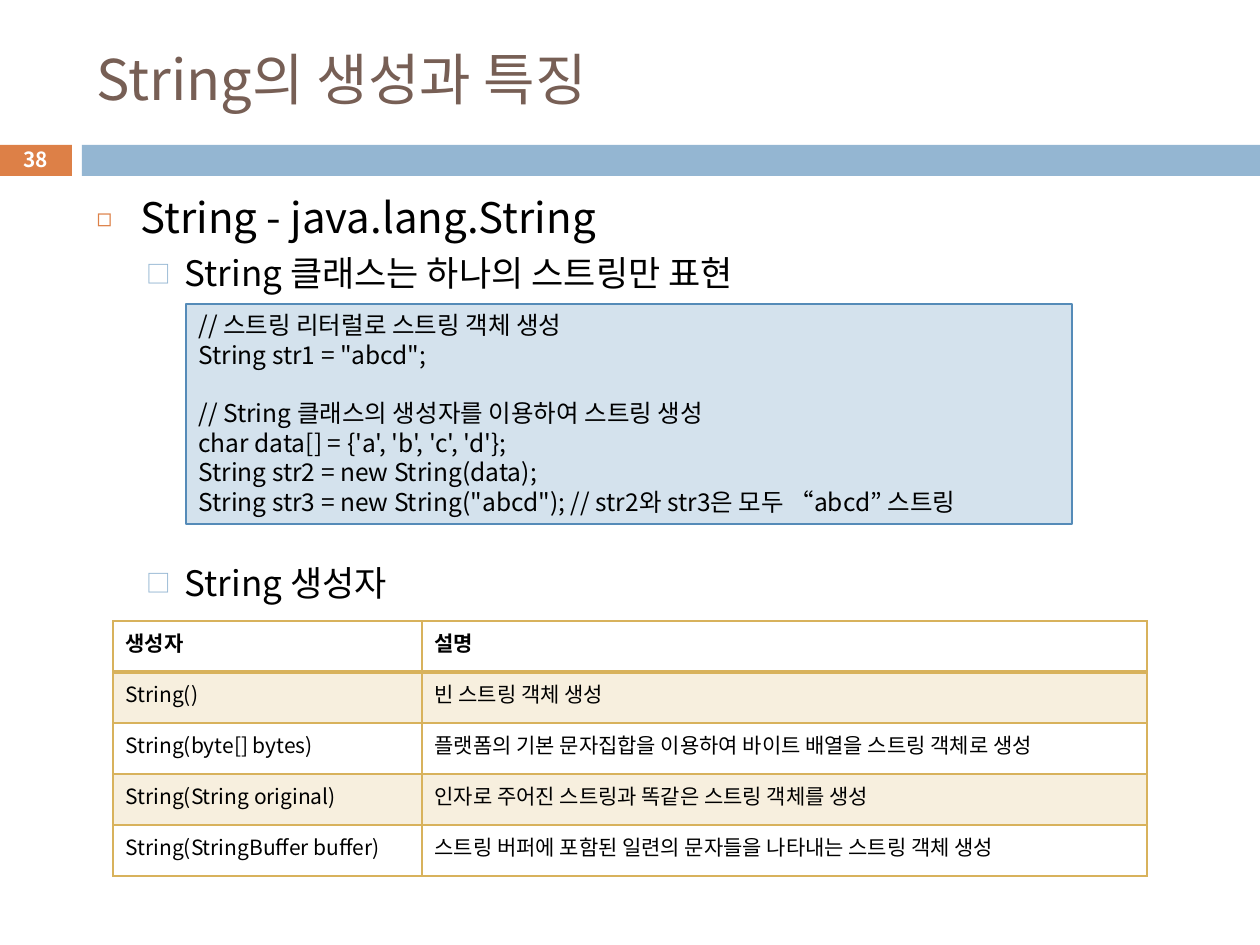
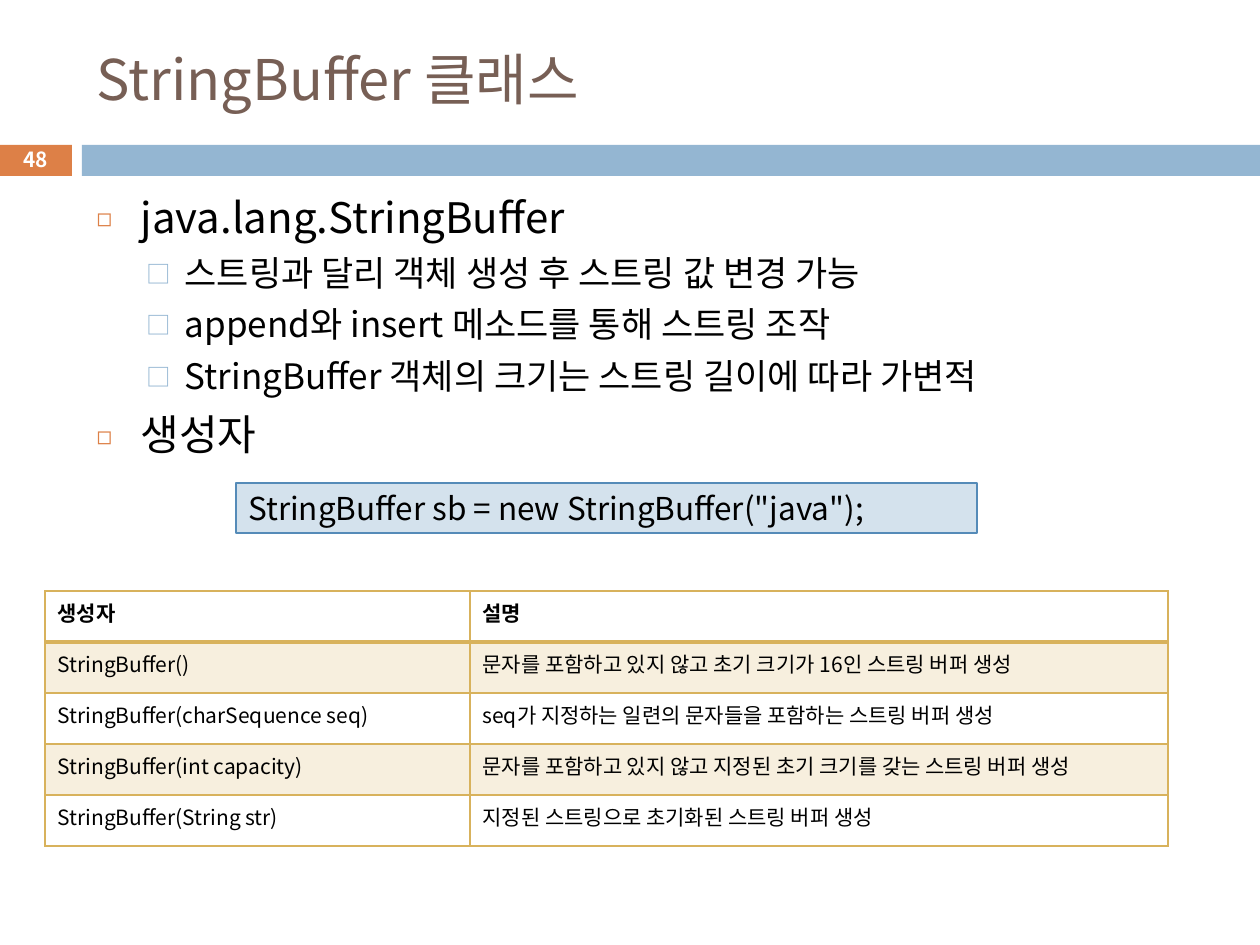
from lxml.etree import SubElement
from pptx import Presentation
from pptx.dml.color import RGBColor
from pptx.enum.shapes import MSO_SHAPE
from pptx.enum.text import MSO_ANCHOR as ANCHOR, MSO_AUTO_SIZE as AUTO, PP_ALIGN as ALIGN
from pptx.oxml.ns import qn
from pptx.util import Emu, Pt

FONT = "Noto Sans CJK KR"
COLORS = {
    "title": "775F55", "text": "000000", "white": "FFFFFF",
    "orange": "DD8047", "blue": "94B6D2",
    "code_fill": "D4E2ED", "code_line": "558BB8", "gold": "D8B25C",
}
TITLE_BOX = (84, 32, 1124, 93)
BODY_BOX = (84, 185, 1124, 694)
NUMBER_BAND = (-1, 145, 73, 31)
NUMBER_TEXT = (-1, 142, 73, 34)
TITLE_BAND = (82, 145, 1178, 31)
ROW_HEIGHT = 51
HEADER = ("생성자", "설명")
LEVELS = [
    {"size": 24, "before": 7, "left": 44, "hang": 44,
     "char": "◻", "color": "orange", "scale": 60},
    {"size": 20, "before": 5.5, "left": 88, "hang": 38,
     "char": "□", "color": "blue", "scale": 70},
]


def px(n):
    return Emu(round(n * 914400 / 126))


def rgb(name):
    return RGBColor.from_string(COLORS[name])


def place(shape, box):
    for name, n in zip(("left", "top", "width", "height"), box):
        setattr(shape, name, px(n))


def write(p, text, size, color="text", bold=False):
    r = p.add_run()
    r.text = text
    for name, value in {"name": FONT, "size": Pt(size), "bold": bold}.items():
        setattr(r.font, name, value)
    r.font.color.rgb = rgb(color)
    SubElement(r.font._element, qn("a:ea"), typeface=FONT)


def set_frame(tf, anchor=ANCHOR.TOP):
    for name, value in {"word_wrap": True, "auto_size": AUTO.NONE,
                        "vertical_anchor": anchor}.items():
        setattr(tf, name, value)


def paragraphs(tf, count):
    """Yield the first paragraph of a frame, then new ones."""
    for i in range(count):
        yield tf.add_paragraph() if i else tf.paragraphs[0]


def add_rect(s, box, fill, line=None):
    sp = s.shapes.add_shape(MSO_SHAPE.RECTANGLE, *map(px, box))
    sp.shadow.inherit = False
    sp.fill.solid()
    sp.fill.fore_color.rgb = rgb(fill)
    if line:
        sp.line.color.rgb = rgb(line)
        sp.line.width = Pt(0.75)
    else:
        sp.line.fill.background()
    return sp


def add_base(prs, title, number):
    """Add a slide with its bands, title and slide number."""
    s = prs.slides.add_slide(prs.slide_layouts[1])
    add_rect(s, NUMBER_BAND, "orange")
    add_rect(s, TITLE_BAND, "blue")

    place(s.shapes.title, TITLE_BOX)
    tf = s.shapes.title.text_frame
    set_frame(tf, ANCHOR.MIDDLE)
    tf.paragraphs[0].alignment = ALIGN.LEFT
    write(tf.paragraphs[0], title, 32, "title")

    tf = s.shapes.add_textbox(*map(px, NUMBER_TEXT)).text_frame
    set_frame(tf, ANCHOR.MIDDLE)
    tf.paragraphs[0].alignment = ALIGN.CENTER
    write(tf.paragraphs[0], str(number), 11.9, "white", bold=True)
    return s


def set_bullet(p, level):
    pPr = p._p.get_or_add_pPr()
    pPr.set("marL", str(px(level["left"])))
    pPr.set("indent", str(-px(level["hang"])))
    color = SubElement(pPr, qn("a:buClr"))
    SubElement(color, qn("a:srgbClr"), val=COLORS[level["color"]])
    SubElement(pPr, qn("a:buSzPct"), val=str(level["scale"] * 1000))
    SubElement(pPr, qn("a:buFont"), typeface=FONT)
    SubElement(pPr, qn("a:buChar"), char=level["char"])


def fill_body(s, items):
    """Write (level, text, extra space above in points) items as a list."""
    body = s.placeholders[1]
    place(body, BODY_BOX)
    tf = body.text_frame
    set_frame(tf)
    for p, (depth, text, gap) in zip(paragraphs(tf, len(items)), items):
        level = LEVELS[depth]
        p.level = depth
        p.space_before = Pt(level["before"] + gap)
        set_bullet(p, level)
        write(p, text, level["size"])


def add_code(s, box, blocks, size):
    """Draw a code box; blocks of lines stand one line apart."""
    tf = add_rect(s, box, "code_fill", "code_line").text_frame
    set_frame(tf)
    lines = [(line, i > 0 and j == 0)
             for i, block in enumerate(blocks) for j, line in enumerate(block)]
    for p, (line, gap) in zip(paragraphs(tf, len(lines)), lines):
        p.alignment = ALIGN.LEFT
        if gap:
            p.space_before = Pt(size * 1.2)
        write(p, line, size)


def set_borders(cell, widths):
    tcPr = cell._tc.get_or_add_tcPr()
    for side, width in widths.items():
        ln = SubElement(tcPr, qn("a:ln" + side), w=str(Pt(width)))
        fill = SubElement(ln, qn("a:solidFill"))
        SubElement(fill, qn("a:srgbClr"), val=COLORS["gold"])


def tint(cell):
    cell.fill.solid()
    cell.fill.fore_color.rgb = rgb("gold")
    color = cell._tc.tcPr.find(qn("a:solidFill")).find(qn("a:srgbClr"))
    SubElement(color, qn("a:alpha"), val="20000")


def add_constructors(s, left, top, widths, rows):
    rows = [HEADER, *rows]
    box = (left, top, sum(widths), ROW_HEIGHT * len(rows))
    table = s.shapes.add_table(len(rows), len(widths), *map(px, box)).table
    table.horz_banding = table.first_row = False
    for column, width in zip(table.columns, widths):
        column.width = px(width)
    for i, row in enumerate(rows):
        for j, text in enumerate(row):
            cell = table.cell(i, j)
            write(cell.text_frame.paragraphs[0], text, 12, bold=i == 0)
            set_borders(cell, {"L": 1, "R": 1, "T": 2 if i == 1 else 1,
                               "B": 2 if i == 0 else 1})
            if i % 2:
                tint(cell)
            else:
                cell.fill.background()


def string_slide(prs):
    s = add_base(prs, "String의 생성과 특징", 38)
    fill_body(s, [
        (0, "String - java.lang.String", 0),
        (1, "String 클래스는 하나의 스트링만 표현", 0),
        (1, "String 생성자", 147.5),
    ])
    add_code(s, (186, 304, 886, 220), [
        ["// 스트링 리터럴로 스트링 객체 생성",
         'String str1 = "abcd";'],
        ["// String 클래스의 생성자를 이용하여 스트링 생성",
         "char data[] = {'a', 'b', 'c', 'd'};",
         "String str2 = new String(data);",
         'String str3 = new String("abcd"); // str2와 str3은 모두 “abcd” 스트링'],
    ], 14)
    add_constructors(s, 113, 621, (309, 725), [
        ("String()", "빈 스트링 객체 생성"),
        ("String(byte[] bytes)",
         "플랫폼의 기본 문자집합을 이용하여 바이트 배열을 스트링 객체로 생성"),
        ("String(String original)", "인자로 주어진 스트링과 똑같은 스트링 객체를 생성"),
        ("String(StringBuffer buffer)",
         "스트링 버퍼에 포함된 일련의 문자들을 나타내는 스트링 객체 생성"),
    ])


def string_buffer_slide(prs):
    s = add_base(prs, "StringBuffer 클래스", 48)
    fill_body(s, [
        (0, "java.lang.StringBuffer", 0),
        (1, "스트링과 달리 객체 생성 후 스트링 값 변경 가능", 0),
        (1, "append와 insert 메소드를 통해 스트링 조작", 0),
        (1, "StringBuffer 객체의 크기는 스트링 길이에 따라 가변적", 0),
        (0, "생성자", 0),
    ])
    add_constructors(s, 45, 591, (425, 698), [
        ("StringBuffer()", "문자를 포함하고 있지 않고 초기 크기가 16인 스트링 버퍼 생성"),
        ("StringBuffer(charSequence seq)",
         "seq가 지정하는 일련의 문자들을 포함하는 스트링 버퍼 생성"),
        ("StringBuffer(int capacity)",
         "문자를 포함하고 있지 않고 지정된 초기 크기를 갖는 스트링 버퍼 생성"),
        ("StringBuffer(String str)", "지정된 스트링으로 초기화된 스트링 버퍼 생성"),
    ])
    add_code(s, (236, 483, 741, 50),
             [['StringBuffer sb = new StringBuffer("java");']], 18)


def main():
    prs = Presentation()
    prs.slide_width, prs.slide_height = px(1260), px(945)
    string_slide(prs)
    string_buffer_slide(prs)
    prs.save("out.pptx")


if __name__ == "__main__":
    main()
